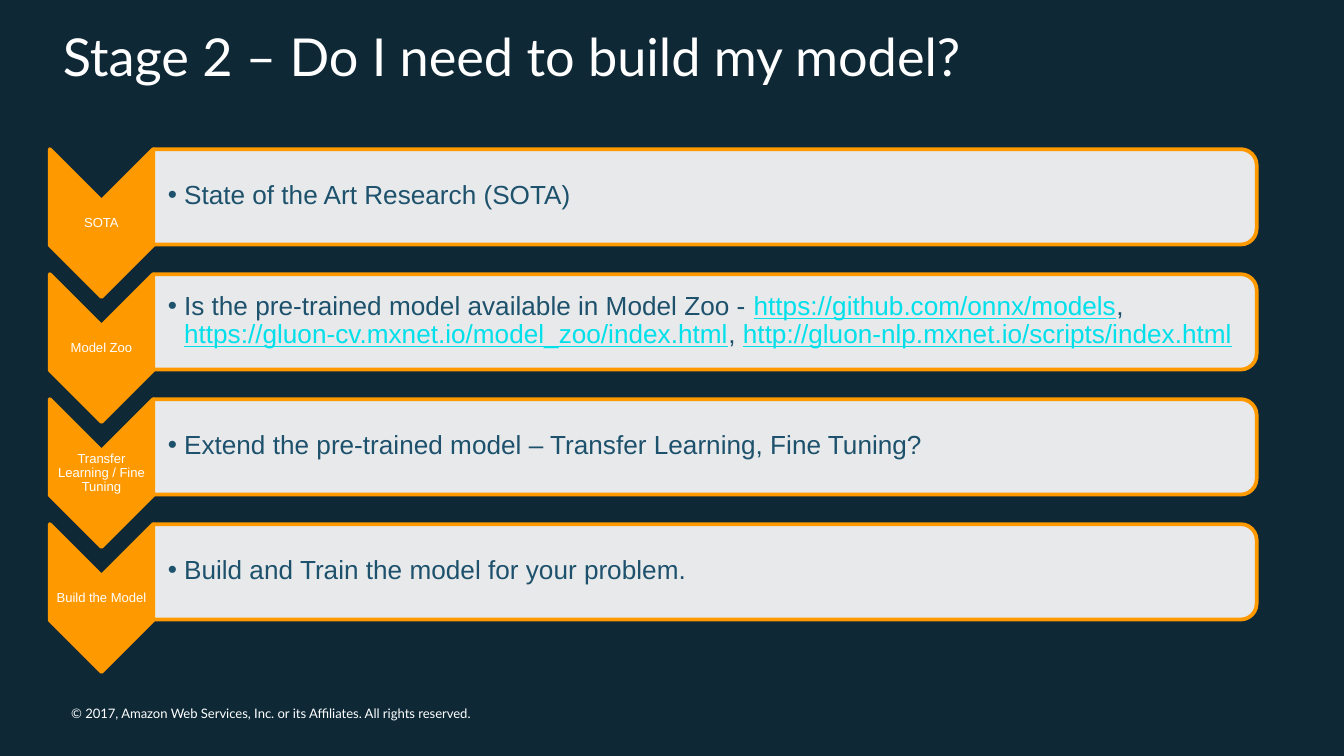
from dataclasses import dataclass

from lxml.etree import SubElement
from pptx import Presentation
from pptx.dml.color import RGBColor
from pptx.enum.shapes import MSO_SHAPE
from pptx.enum.text import MSO_ANCHOR, PP_ALIGN
from pptx.oxml.ns import qn
from pptx.util import Inches, Pt


@dataclass(frozen=True)
class Theme:
    back: str = "0E2836"
    accent: str = "FF9900"
    panel: str = "FFFFFF"
    light: str = "FFFFFF"
    body: str = "1D516C"
    link: str = "00E0EA"
    head_font: str = "Lato"
    body_font: str = "Arial"
    title_size: int = 28
    body_size: int = 14
    small_size: int = 7
    edge: int = 2


THEME = Theme()
ROWS = [
    ("SOTA", ["State of the Art Research (SOTA)"]),
    ("Model Zoo", [
        "Is the pre-trained model available in Model Zoo - ",
        "https://github.com/onnx/models", ", ",
        "https://gluon-cv.mxnet.io/model_zoo/index.html", ", ",
        "http://gluon-nlp.mxnet.io/scripts/index.html",
    ]),
    ("Transfer Learning / Fine Tuning",
     ["Extend the pre-trained model – Transfer Learning, Fine Tuning?"]),
    ("Build the Model", ["Build and Train the model for your problem."]),
]


def add_box(slide, left, top, width, height, insets, anchor=MSO_ANCHOR.TOP):
    """Add a wrapping text box and return its first paragraph."""
    box = slide.shapes.add_textbox(
        Inches(left), Inches(top), Inches(width), Inches(height))
    frame = box.text_frame
    frame.word_wrap = True
    frame.vertical_anchor = anchor
    frame.margin_left, frame.margin_top, frame.margin_right, frame.margin_bottom = (
        Inches(inset) for inset in insets)
    return frame.paragraphs[0]


def add_run(para, text, font, size, color):
    run = para.add_run()
    run.text = text
    run.font.name = font
    run.font.size = Pt(size)
    run.font.color.rgb = RGBColor.from_string(color)
    return run


def add_turned(slide, kind, left, top, width, height, color):
    """Add a shape turned by 90 degrees that covers the given box on the slide."""
    shape = slide.shapes.add_shape(
        kind,
        Inches(left + (width - height) / 2), Inches(top + (height - width) / 2),
        Inches(height), Inches(width))
    shape.rotation = 90
    shape.shadow.inherit = False
    shape.fill.solid()
    shape.fill.fore_color.rgb = RGBColor.from_string(color)
    shape.line.color.rgb = RGBColor.from_string(THEME.accent)
    shape.line.width = Pt(THEME.edge)
    return shape


def set_alpha(shape, percent):
    color = shape.fill._xPr.find(qn("a:solidFill"))[0]
    SubElement(color, qn("a:alpha")).set("val", str(percent * 1000))


def add_bullet(para, indent):
    props = para._p.get_or_add_pPr()
    props.set("marL", str(Inches(indent)))
    props.set("indent", str(-Inches(indent)))
    SubElement(props, qn("a:buFont")).set("typeface", THEME.body_font)
    SubElement(props, qn("a:buChar")).set("char", "•")
    para.font.size = Pt(THEME.body_size)


def add_step(slide, left, top, width, label, parts):
    """Add one row: a chevron with its label, and a panel with bulleted text."""
    arrow_w, arrow_h, panel_h = 0.77, 1.1, 0.71
    panel_left, panel_w = left + arrow_w, width - arrow_w

    add_turned(slide, MSO_SHAPE.CHEVRON, left, top, arrow_w, arrow_h, THEME.accent)
    para = add_box(slide, left, top + arrow_w / 2, arrow_w, arrow_h - arrow_w,
                   (0.04, 0, 0.04, 0), MSO_ANCHOR.MIDDLE)
    para.alignment = PP_ALIGN.CENTER
    para.line_spacing = 0.9
    add_run(para, label, THEME.body_font, THEME.small_size, THEME.light)

    panel = add_turned(slide, MSO_SHAPE.ROUND_2_SAME_RECTANGLE,
                       panel_left, top, panel_w, panel_h, THEME.panel)
    set_alpha(panel, 90)
    para = add_box(slide, panel_left, top + 0.03, panel_w - 0.04, panel_h - 0.07,
                   (0.11, 0.01, 0.01, 0.01), MSO_ANCHOR.MIDDLE)
    add_bullet(para, 0.12)
    para.line_spacing = 0.9
    for part in parts:
        is_link = part.startswith("http")
        run = add_run(para, part, THEME.body_font, THEME.body_size,
                      THEME.link if is_link else THEME.body)
        run.font.underline = is_link


def add_steps(slide, left, top, width, pitch):
    for index, (label, parts) in enumerate(ROWS):
        add_step(slide, left, top + index * pitch, width, label, parts)


def add_title(slide, left, top, width, height):
    para = add_box(slide, left, top, width, height, (0.1, 0.05, 0.1, 0.05))
    add_run(para, "Stage 2 – Do I need to build my model?",
            THEME.head_font, THEME.title_size, THEME.light)


def add_footer(slide, left, top, width, height):
    para = add_box(slide, left, top, width, height, (0, 0, 0, 0))
    add_run(para, "© 2017, Amazon Web Services, Inc. or its Affiliates. All rights reserved.",
            THEME.head_font, THEME.small_size, THEME.light)


def main():
    deck = Presentation()
    deck.slide_width = Inches(10)
    deck.slide_height = deck.slide_width * 9 // 16
    slide = deck.slides.add_slide(deck.slide_layouts[6])
    slide.background.fill.solid()
    slide.background.fill.fore_color.rgb = RGBColor.from_string(THEME.back)
    add_footer(slide, 0.53, 5.25, 3.31, 0.12)
    add_title(slide, 0.37, 0.13, 8.97, 0.6)
    add_steps(slide, 0.37, 1.11, 8.98, 0.93)
    deck.save("out.pptx")


if __name__ == "__main__":
    main()
